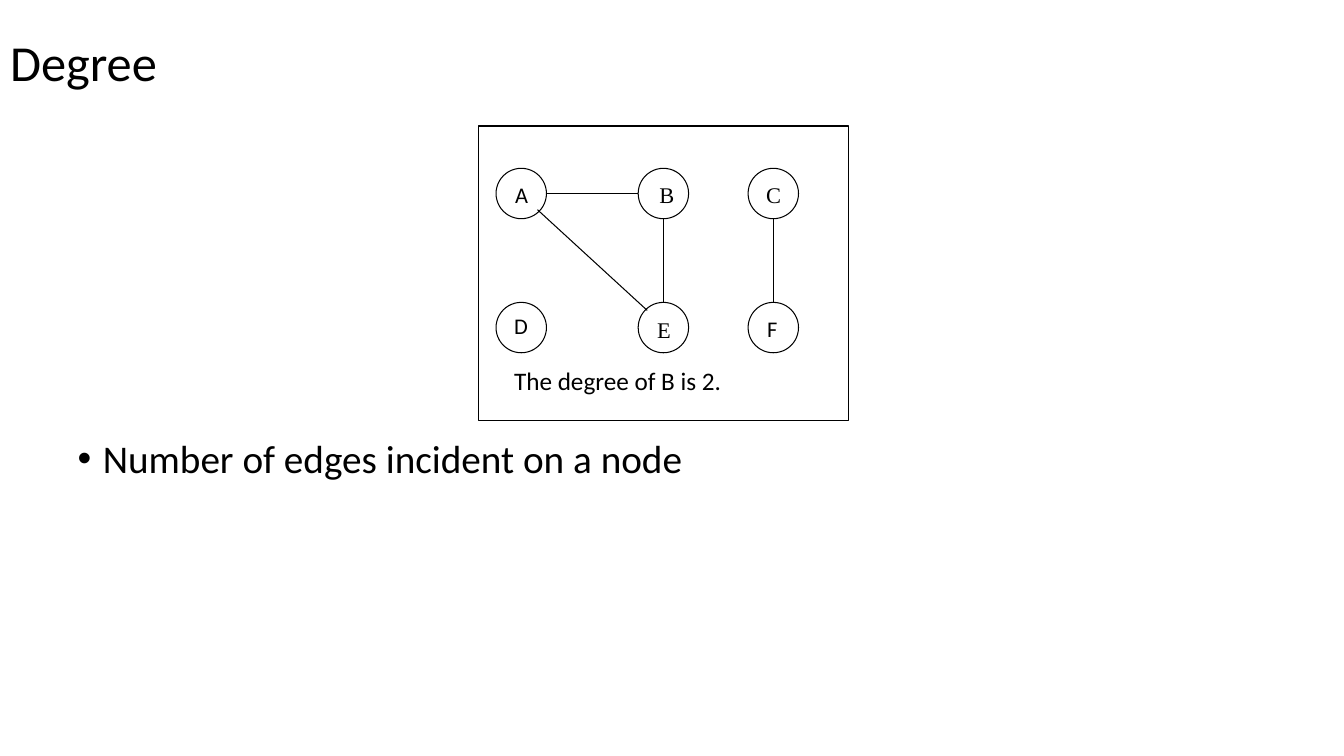
from dataclasses import dataclass

from pptx import Presentation
from pptx import util as u
from pptx.dml.color import RGBColor
from pptx.enum import shapes, text
from pptx.oxml import parse_xml
from pptx.oxml.ns import nsdecls, qn
from pptx.shapes.shapetree import GroupShapes
from pptx.text.text import TextFrame


@dataclass(frozen=True)
class Theme:
    ink: RGBColor = RGBColor(0, 0, 0)
    sans: str = "Calibri"
    serif: str = "Times New Roman"
    title_size: int = 36
    body_size: int = 28
    caption_size: int = 18
    label_size: int = 16
    line_width: float = 0.75


@dataclass(frozen=True)
class Node:
    letter: str
    left: float
    top: float
    label_left: float
    label_top: float
    label_width: float
    font: str


@dataclass(frozen=True)
class Edge:
    start: tuple[float, float]
    end: tuple[float, float]


THEME = Theme()
DIAMETER = 0.5
RADIUS = DIAMETER / 2
COLUMNS = (4.92, 6.33, 7.42)
ROWS = (1.67, 3.0)

NODES = (
    Node("A", COLUMNS[0], ROWS[0], 5.01, 1.75, 0.33, THEME.sans),
    Node("B", COLUMNS[1], ROWS[0], 6.44, 1.75, 0.35, THEME.serif),
    Node("C", COLUMNS[2], ROWS[0], 7.5, 1.75, 0.35, THEME.serif),
    Node("D", COLUMNS[0], ROWS[1], 5.0, 3.05, 0.34, THEME.sans),
    Node("E", COLUMNS[1], ROWS[1], 6.42, 3.09, 0.34, THEME.serif),
    Node("F", COLUMNS[2], ROWS[1], 7.51, 3.08, 0.31, THEME.sans),
)

EDGES = (
    Edge((5.33, 2.08), (6.42, 3.08)),  # A to E
    Edge((COLUMNS[0] + DIAMETER, ROWS[0] + RADIUS), (COLUMNS[1], ROWS[0] + RADIUS)),  # A to B
    *(Edge((column + RADIUS, ROWS[1]), (column + RADIUS, ROWS[0] + DIAMETER))
      for column in COLUMNS[1:]),  # E to B, F to C
)


def place(shape, left: float, top: float, width: float, height: float) -> None:
    shape.left, shape.top = u.Inches(left), u.Inches(top)
    shape.width, shape.height = u.Inches(width), u.Inches(height)


def write(frame: TextFrame, words: str, size: int, font: str) -> None:
    frame.text = words
    for run in frame.paragraphs[0].runs:
        run.font.size = u.Pt(size)
        run.font.name = font
        run.font.color.rgb = THEME.ink


def draw_outline(group: GroupShapes, kind: shapes.MSO_SHAPE, left: float, top: float,
                 width: float, height: float) -> None:
    outline = group.add_shape(kind, *map(u.Inches, (left, top, width, height)))
    outline.shadow.inherit = False
    outline.fill.background()
    outline.line.color.rgb = THEME.ink
    outline.line.width = u.Pt(THEME.line_width)


def draw_text(group: GroupShapes, words: str, left: float, top: float, width: float,
              height: float, size: int, font: str) -> None:
    box = group.add_textbox(*map(u.Inches, (left, top, width, height)))
    box.text_frame.word_wrap = False
    box.text_frame.auto_size = text.MSO_AUTO_SIZE.SHAPE_TO_FIT_TEXT
    write(box.text_frame, words, size, font)


def draw_edge(group: GroupShapes, edge: Edge) -> None:
    line = group.add_connector(shapes.MSO_CONNECTOR.STRAIGHT,
                               *map(u.Inches, (*edge.start, *edge.end)))
    line.line.color.rgb = THEME.ink
    line.line.width = u.Pt(THEME.line_width)
    line._element.spPr.append(parse_xml(f"<a:effectLst {nsdecls('a')}/>"))


def format_placeholder(holder, words: str, size: int) -> None:
    frame = holder.text_frame
    write(frame, words, size, THEME.sans)
    frame.auto_size = text.MSO_AUTO_SIZE.NONE
    frame.paragraphs[0].alignment = text.PP_ALIGN.LEFT
    frame.paragraphs[0].line_spacing = 0.9


def add_bullet(frame: TextFrame) -> None:
    paragraph = frame.paragraphs[0]
    paragraph.space_before = u.Pt(10)
    properties = paragraph._p.get_or_add_pPr()
    properties.set("marL", str(u.Inches(0.25)))
    properties.set("indent", str(u.Inches(-0.25)))
    properties.append(parse_xml(f'<a:buFont {nsdecls("a")} typeface="Arial"/>'))
    properties.append(parse_xml(f'<a:buChar {nsdecls("a")} char="•"/>'))


def main() -> None:
    deck = Presentation()
    deck.slide_width, deck.slide_height = u.Inches(13.33), u.Inches(7.5)
    slide = deck.slides.add_slide(deck.slide_layouts[1])

    # Title and definition
    heading, definition = slide.shapes.title, slide.placeholders[1]
    place(heading, 0, 0.3, 13.33, 0.7)
    format_placeholder(heading, "Degree", THEME.title_size)
    heading.text_frame.vertical_anchor = text.MSO_ANCHOR.MIDDLE
    place(definition, 0.67, 4.31, 12, 2.39)
    format_placeholder(definition, "Number of edges incident on a node", THEME.body_size)
    add_bullet(definition.text_frame)

    # Graph: nodes, letters, edges
    graph = slide.shapes.add_group_shape().shapes
    for node in NODES:
        draw_outline(graph, shapes.MSO_SHAPE.OVAL, node.left, node.top, DIAMETER, DIAMETER)
    for node in NODES:
        draw_text(graph, node.letter, node.label_left, node.label_top, node.label_width,
                  0.37, THEME.label_size, node.font)
    for edge in EDGES:
        draw_edge(graph, edge)

    # Caption and frame
    draw_text(graph, "The degree of B is 2.", 5, 3.58, 2.28, 0.4,
              THEME.caption_size, THEME.sans)
    draw_outline(graph, shapes.MSO_SHAPE.RECTANGLE, 4.75, 1.25, 3.67, 2.92)

    deck.save("out.pptx")


if __name__ == "__main__":
    main()
